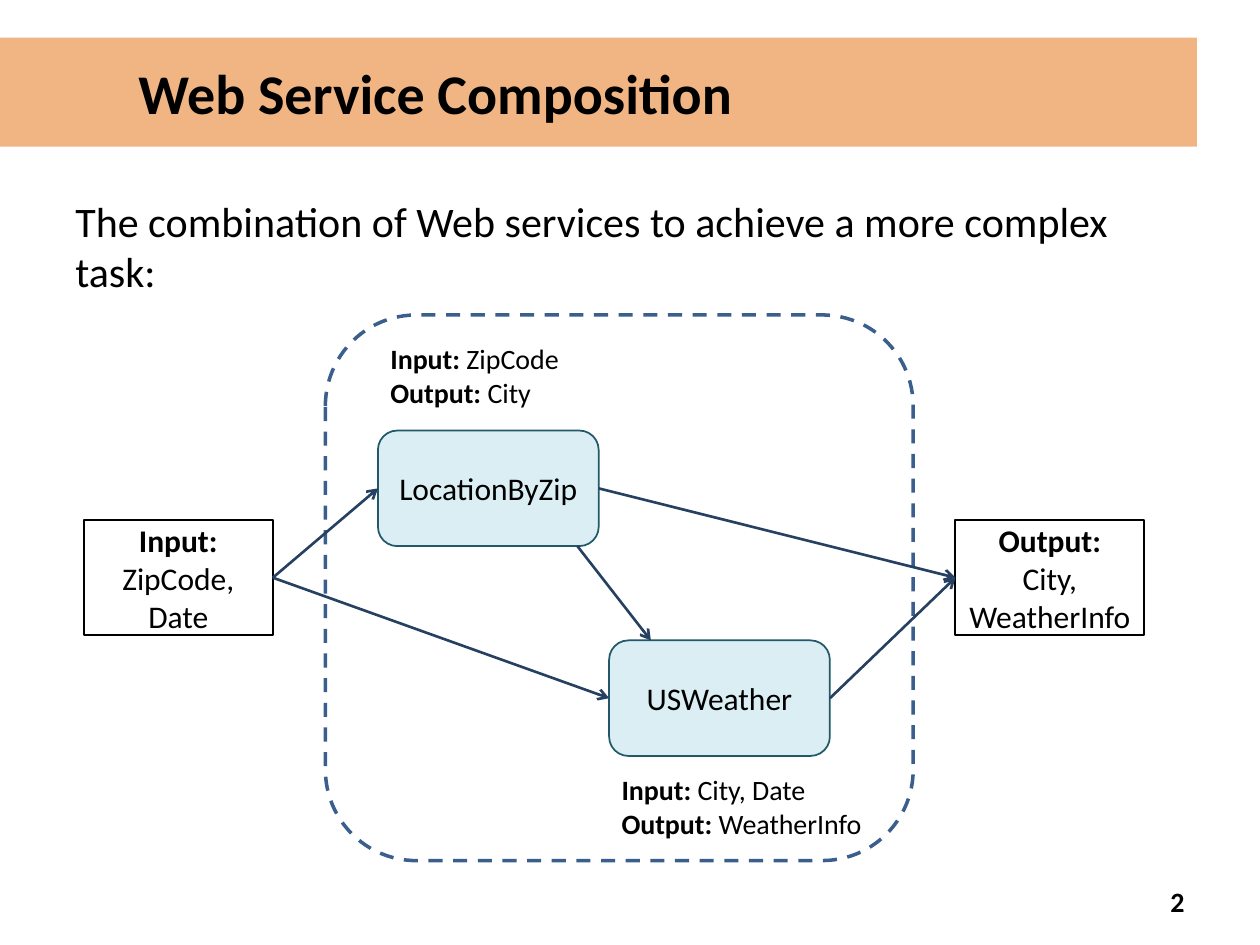
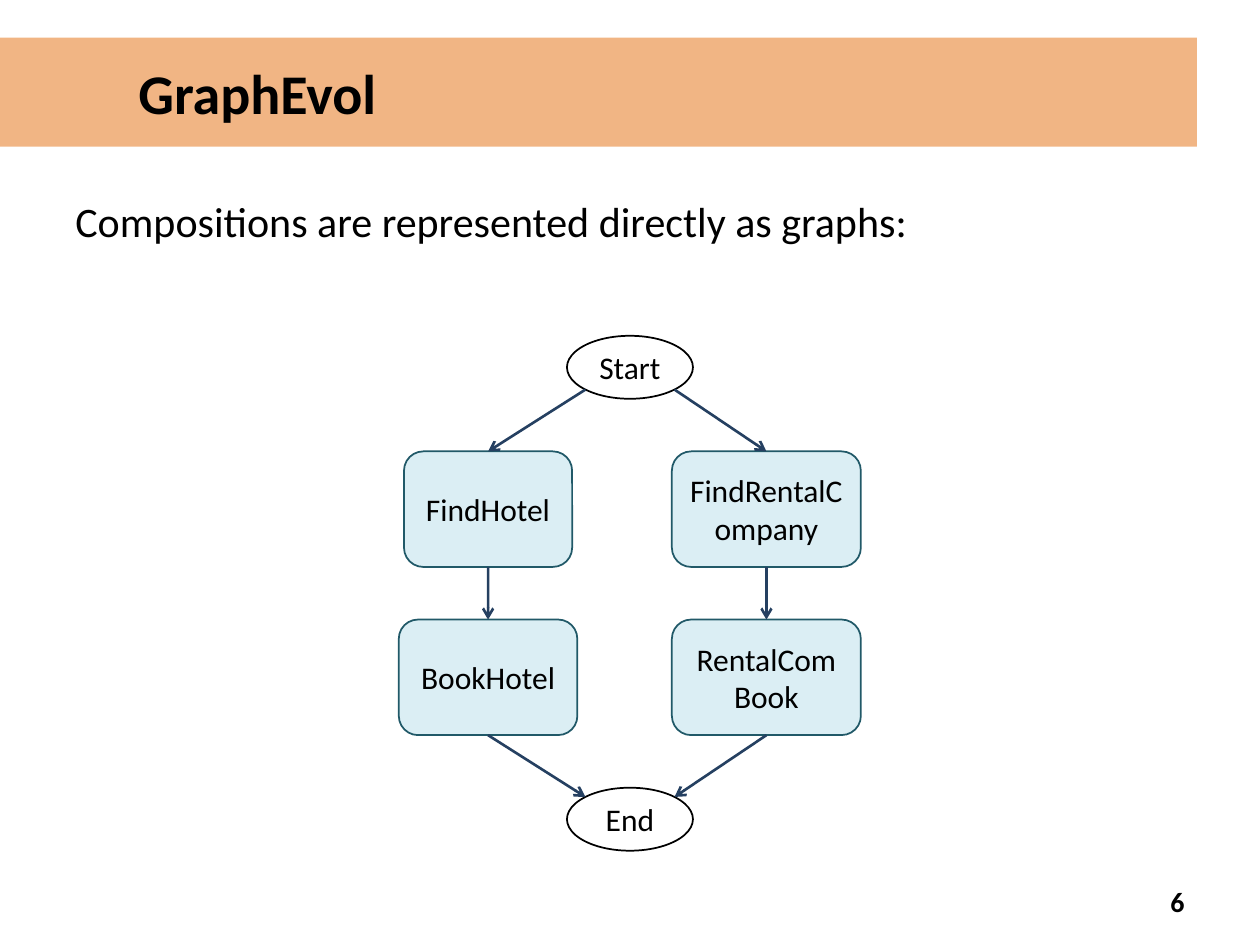
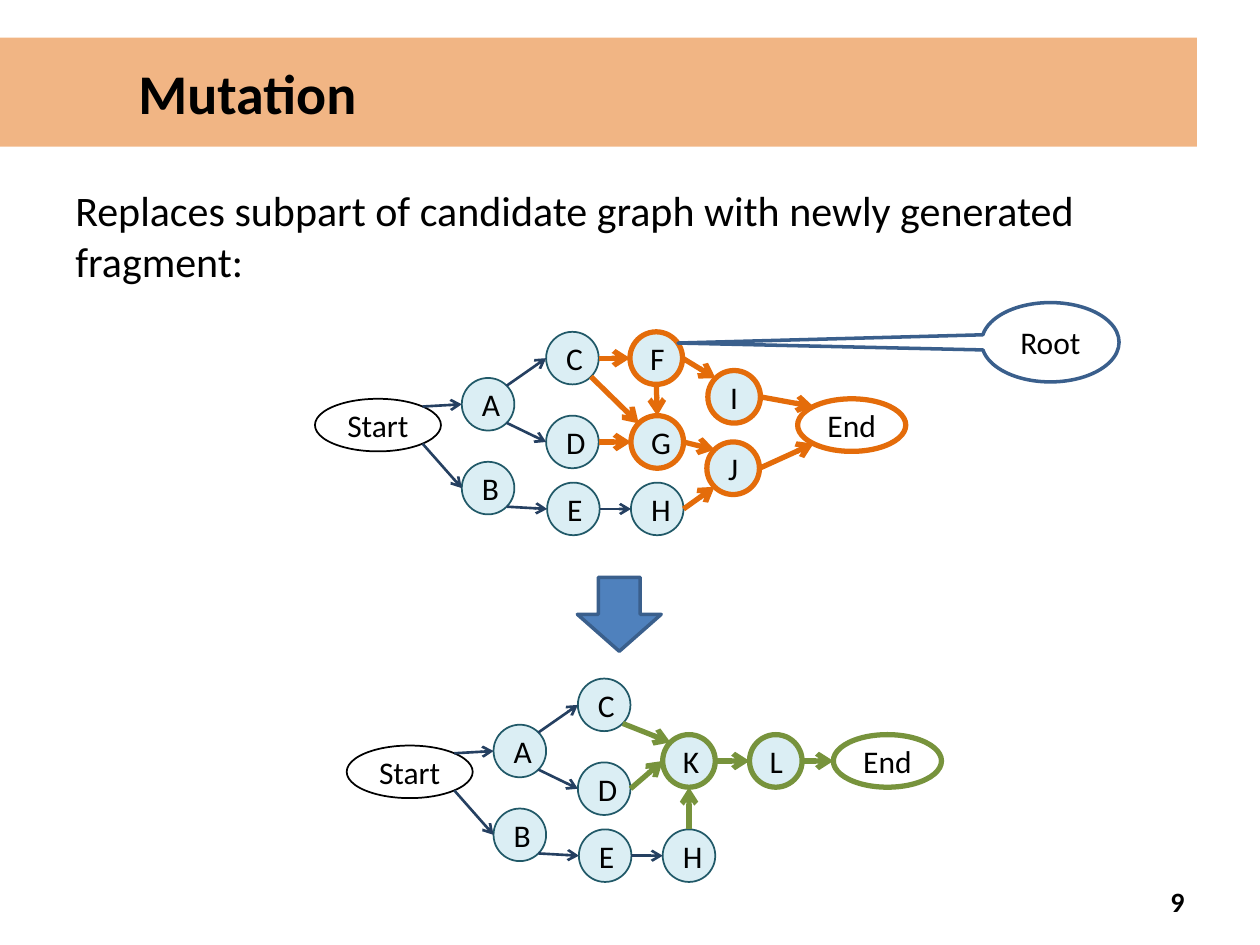
from math import sqrt

from pptx import Presentation
from pptx import util as u
from pptx.dml.color import RGBColor
from pptx.enum import dml, shapes, text
from pptx.oxml.ns import qn
from lxml import etree

FONT = "Calibri"
BLACK, WHITE = "000000", "FFFFFF"
ORANGE, GREEN = "E46C0A", "77933C"
PALE, TEAL, NAVY = "DBEEF4", "215968", "254061"
BLUE, STEEL = "4F81BD", "3A5F8C"

SHAPE = shapes.MSO_SHAPE
ALIGN = text.PP_ALIGN
ANCHOR = text.MSO_ANCHOR

NODE_SIZE = 1.06
BOX_HEIGHT = 2.33
SIDES = {"n": (0, -1), "w": (-1, 0), "s": (0, 1), "e": (1, 0),
         "nw": (-1, -1), "sw": (-1, 1), "se": (1, 1), "ne": (1, -1)}
JOINTS = "nwse"


def colour(value):
    return RGBColor.from_string(value)


def split_heading(line):
    heading, colon, rest = line.partition(":")
    return [(heading + colon, True), (rest, False)] if colon else [(line, False)]


def write(shape, content, size=18, bold=False, headings=False,
          align=ALIGN.CENTER, anchor=ANCHOR.MIDDLE):
    frame = shape.text_frame
    frame.word_wrap = True
    frame.vertical_anchor = anchor
    for index, line in enumerate(content.split("\n")):
        para = frame.add_paragraph() if index else frame.paragraphs[0]
        para.alignment = align
        for words, heavy in split_heading(line) if headings else [(line, bold)]:
            if words:
                span = para.add_run()
                span.text = words
                span.font.name = FONT
                span.font.size = u.Pt(size)
                span.font.bold = heavy
                span.font.color.rgb = colour(BLACK)


def add_box(page, kind, left, top, width, height, fill=WHITE, line=BLACK, weight=1):
    box = page.shapes.add_shape(kind, *map(u.Cm, (left, top, width, height)))
    box.shadow.inherit = False
    box.fill.solid()
    box.fill.fore_color.rgb = colour(fill)
    if line:
        box.line.color.rgb = colour(line)
        box.line.width = u.Pt(weight)
    else:
        box.line.fill.background()
    return box


def add_label(page, content, left, top, width, height, **style):
    label = page.shapes.add_textbox(*map(u.Cm, (left, top, width, height)))
    write(label, content, **style)
    return label


def add_service(page, name, left, top, width):
    box = add_box(page, SHAPE.ROUNDED_RECTANGLE, left, top, width, BOX_HEIGHT, PALE, TEAL)
    write(box, name)
    return box


def add_terminal(page, name, left, top, width=2.54, height=NODE_SIZE, line=BLACK, weight=1):
    oval = add_box(page, SHAPE.OVAL, left, top, width, height, WHITE, line, weight)
    write(oval, name)
    return oval


def add_node(page, name, left, top, line=TEAL, weight=1):
    node = add_box(page, SHAPE.OVAL, left, top, NODE_SIZE, NODE_SIZE, PALE, line, weight)
    write(node, name)
    return node


def add_arrow(page, start, end, line=NAVY, weight=1.5):
    arrow = page.shapes.add_connector(shapes.MSO_CONNECTOR.STRAIGHT, *start, *end)
    arrow.line.color.rgb = colour(line)
    arrow.line.width = u.Pt(weight)
    etree.SubElement(arrow.line._get_or_add_ln(), qn("a:tailEnd"), type="arrow")
    etree.SubElement(arrow._element.spPr, qn("a:effectLst"))
    return arrow


def edge_point(shape, side):
    across, down = SIDES[side]
    reach = sqrt(0.5) if len(side) == 2 else 1
    return (round(shape.left + shape.width * (1 + across * reach) / 2),
            round(shape.top + shape.height * (1 + down * reach) / 2))


def link(page, source, leave, target, enter, **style):
    arrow = add_arrow(page, edge_point(source, leave), edge_point(target, enter), **style)
    if source.auto_shape_type != SHAPE.OVAL:
        arrow.begin_connect(source, JOINTS.index(leave))
    if target.auto_shape_type != SHAPE.OVAL:
        arrow.end_connect(target, JOINTS.index(enter))


def link_nodes(page, nodes, routes, **style):
    for source, leave, target, enter in routes:
        link(page, nodes[source], leave, nodes[target], enter, **style)


def add_page(deck, title, lead, number, lead_top=3.81):
    page = deck.slides.add_slide(deck.slide_layouts[6])
    band = add_box(page, SHAPE.RECTANGLE, 0, 0.76, 24.13, 2.2, ORANGE, None)
    tint = band._element.spPr.find(qn("a:solidFill"))[0]
    etree.SubElement(tint, qn("a:alpha"), val="50000")
    band.text_frame.margin_left = u.Cm(2.79)
    write(band, title, size=32, bold=True, align=ALIGN.LEFT)
    add_label(page, lead, 1.27, lead_top, 22.86, 2.34, size=24,
              align=ALIGN.LEFT, anchor=ANCHOR.TOP)
    add_label(page, str(number), 18.21, 17.65, 5.92, 1.02, size=16, bold=True,
              align=ALIGN.RIGHT)
    return page


def build_composition(deck):
    page = add_page(deck, "Web Service Composition",
                    "The combination of Web services to achieve a more complex task:", 2)
    frame = add_box(page, SHAPE.ROUNDED_RECTANGLE, 6.56, 6.35, 11.85, 11, line=STEEL, weight=2)
    frame.line.dash_style = dml.MSO_LINE.DASH

    ends = []
    for content, left in (("Input: ZipCode, Date", 1.69),
                          ("Output:\nCity, WeatherInfo", 19.26)):
        box = add_box(page, SHAPE.RECTANGLE, left, 10.48, 3.81, BOX_HEIGHT)
        write(box, content, headings=True)
        ends.append(box)
    request, result = ends

    location = add_service(page, "LocationByZip", 7.62, 8.68, 4.45)
    weather = add_service(page, "USWeather", 12.28, 12.91, 4.45)
    for content, left, top, width in (
            ("Input: ZipCode\nOutput: City", 7.62, 6.77, 4.45),
            ("Input: City, Date\nOutput: WeatherInfo", 12.28, 15.45, 5.72)):
        add_label(page, content, left, top, width, 1.63, size=16, headings=True,
                  align=ALIGN.LEFT, anchor=ANCHOR.TOP)

    for service in (location, weather):
        link(page, request, "e", service, "w")
        link(page, service, "e", result, "w")
    add_arrow(page, (u.Cm(11.64), u.Cm(11.01)), (u.Cm(13.12), u.Cm(12.91)))


def build_graph_evolution(deck):
    page = add_page(deck, "GraphEvol", "Compositions are represented directly as graphs:", 6)
    start = add_terminal(page, "Start", 11.43, 6.77, height=1.27)
    end = add_terminal(page, "End", 11.43, 15.88, height=1.27)
    branches = (
        (9.84, "w", (("FindHotel", 3.39), ("BookHotel", 3.6))),
        (15.45, "e", (("FindRentalCompany", 3.81), ("RentalComBook", 3.81))),
    )
    for centre, side, services in branches:
        find, book = [add_service(page, name, centre - width / 2, 9.1 + 3.39 * row, width)
                      for row, (name, width) in enumerate(services)]
        link(page, start, "s" + side, find, "n")
        link(page, find, "s", book, "n")
        link(page, book, "s", end, "n" + side)


def add_shared_graph(page, left, top):
    nodes = {"Start": add_terminal(page, "Start", left, top + 1.35)}
    for name, across, down in (("A", 2.96, 0.93), ("B", 2.96, 2.62), ("C", 4.66, 0),
                               ("D", 4.66, 1.69), ("E", 4.68, 3.04), ("H", 6.37, 3.04)):
        nodes[name] = add_node(page, name, left + across, top + down)
    link_nodes(page, nodes, (
        ("Start", "ne", "A", "w"), ("Start", "se", "B", "w"), ("A", "ne", "C", "w"),
        ("A", "se", "D", "w"), ("B", "se", "E", "w"), ("E", "e", "H", "w")))
    return nodes


def add_graph(page, left, top, accent, places, end_place, routes):
    style = {"line": accent, "weight": 3}
    nodes = add_shared_graph(page, left, top)
    for name, across, down in places:
        nodes[name] = add_node(page, name, left + across, top + down, **style)
    across, down = end_place
    nodes["End"] = add_terminal(page, "End", left + across, top + down, width=2.18, **style)
    link_nodes(page, nodes, routes, **style)


def build_mutation(deck):
    page = add_page(deck, "Mutation",
                    "Replaces subpart of candidate graph with newly generated fragment:",
                    9, lead_top=3.6)
    add_graph(page, 6.35, 6.69, ORANGE,
              (("F", 6.35, 0), ("G", 6.37, 1.69), ("I", 7.92, 0.78), ("J", 7.9, 2.22)),
              (9.73, 1.35),
              (("C", "e", "F", "w"), ("D", "e", "G", "w"), ("C", "se", "G", "nw"),
               ("F", "s", "G", "n"), ("F", "e", "I", "nw"), ("G", "e", "J", "nw"),
               ("H", "e", "J", "sw"), ("I", "e", "End", "nw"), ("J", "e", "End", "sw")))
    add_graph(page, 6.99, 13.68, GREEN,
              (("K", 6.37, 1.13), ("L", 8.12, 1.13)),
              (9.81, 1.13),
              (("D", "e", "K", "w"), ("C", "se", "K", "nw"), ("K", "e", "L", "w"),
               ("H", "n", "K", "s"), ("L", "e", "End", "w")))
    add_box(page, SHAPE.DOWN_ARROW, 11.64, 11.64, 1.69, 1.49, BLUE, STEEL, 2)
    callout = add_box(page, SHAPE.OVAL_CALLOUT, 19.79, 6.1, 2.77, 1.6, WHITE, STEEL, 2)
    callout.adjustments[0] = -2.71
    callout.adjustments[1] = 0.01
    write(callout, "Root")


def main():
    deck = Presentation()
    deck.slide_width = u.Cm(25.4)
    deck.slide_height = u.Cm(19.05)
    build_composition(deck)
    build_graph_evolution(deck)
    build_mutation(deck)
    deck.save("out.pptx")


if __name__ == "__main__":
    main()
